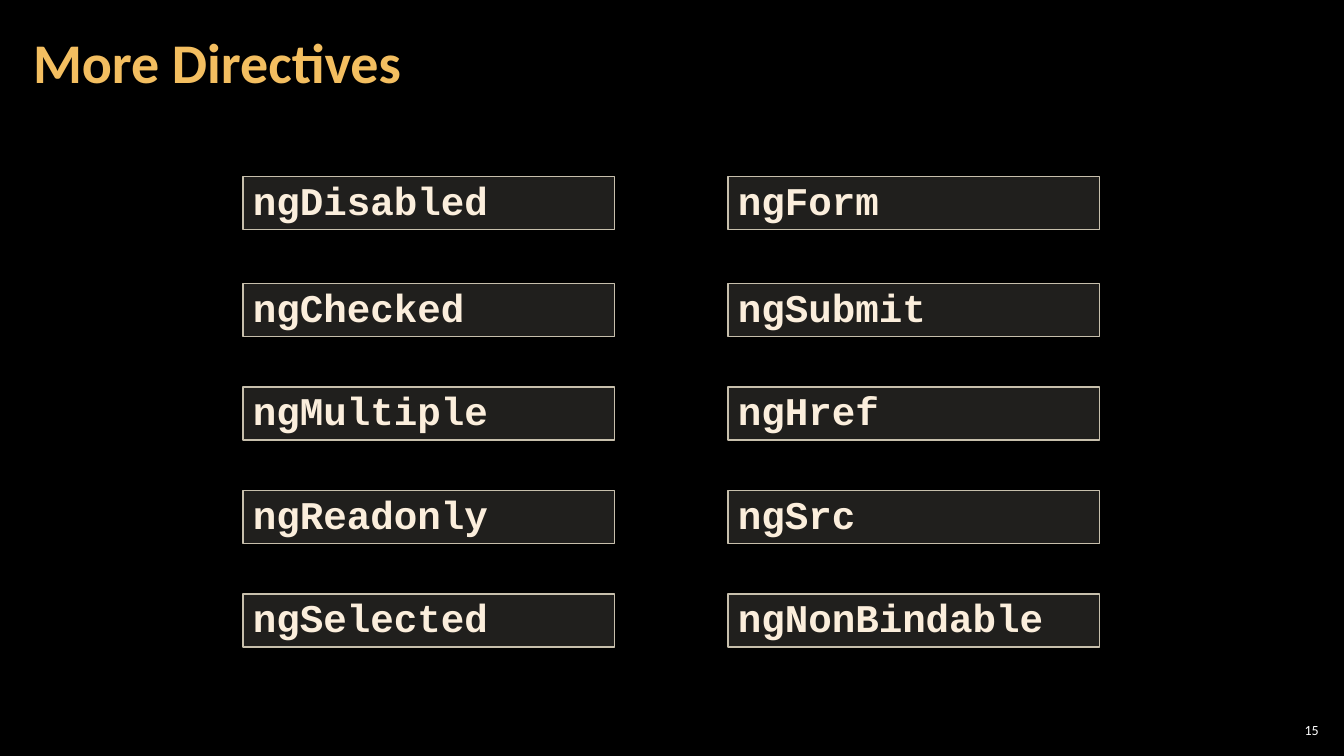
from lxml import etree
from pptx import Presentation
from pptx.dml.color import RGBColor
from pptx.enum import shapes, text
from pptx.oxml import ns
from pptx.util import Pt

TITLE = "More Directives"
PAGE_NUMBER = "15"
DIRECTIVES = [
    ["ngDisabled", "ngChecked", "ngMultiple", "ngReadonly", "ngSelected"],
    ["ngForm", "ngSubmit", "ngHref", "ngSrc", "ngNonBindable"],
]

COLORS = {
    "background": "000000",
    "title": "F3BE60",
    "number": "FFFFFF",
    "box": "D9D5C7",
    "border": "C7BFAC",
    "code": "FBEEDC",
}
TITLE_FONT = {"name": "Calibri", "size": Pt(40), "bold": True}
NUMBER_FONT = {"name": "Calibri", "size": Pt(10)}
CODE_FONT = {"name": "Courier New", "size": Pt(28), "bold": True}

COLUMN_LEFTS = [173.6, 520]
ROW_TOPS = [126, 202.3, 276.3, 350.2, 424.2]
BOX_WIDTH, BOX_HEIGHT = 265.3, 38
BOX_OPACITY = 15


def color(name):
    return RGBColor.from_string(COLORS[name])


def apply(target, values):
    for name, value in values.items():
        setattr(target, name, value)


def write(shape, words, font, color_name, frame_format, paragraph_format):
    frame = shape.text_frame
    apply(frame, {"word_wrap": True, **frame_format})
    paragraph = frame.paragraphs[0]
    apply(paragraph, paragraph_format)
    run = paragraph.add_run()
    run.text = words
    apply(run.font, font)
    run.font.color.rgb = color(color_name)


def margins(side, edge):
    return {"margin_left": Pt(side), "margin_right": Pt(side),
            "margin_top": Pt(edge), "margin_bottom": Pt(edge)}


def add_directive(slide, name, left, top):
    box = slide.shapes.add_shape(shapes.MSO_SHAPE.RECTANGLE, Pt(left), Pt(top),
                                 Pt(BOX_WIDTH), Pt(BOX_HEIGHT))
    box.shadow.inherit = False
    box.fill.solid()
    box.fill.fore_color.rgb = color("box")
    fill_color = box.fill._xPr.find(".//" + ns.qn("a:srgbClr"))
    etree.SubElement(fill_color, ns.qn("a:alpha"), val=str(BOX_OPACITY * 1000))
    box.line.color.rgb = color("border")
    box.line.width = Pt(1)
    write(box, name, CODE_FONT, "code",
          {"vertical_anchor": text.MSO_ANCHOR.TOP,
           "auto_size": text.MSO_AUTO_SIZE.SHAPE_TO_FIT_TEXT},
          {"alignment": text.PP_ALIGN.LEFT, "line_spacing": 0.9, "space_before": Pt(12)})


def main():
    presentation = Presentation()
    apply(presentation, {"slide_width": Pt(960), "slide_height": Pt(540)})
    slide = presentation.slides.add_slide(presentation.slide_layouts.get_by_name("Title Only"))
    slide.background.fill.solid()
    slide.background.fill.fore_color.rgb = color("background")

    number = slide.shapes.add_textbox(Pt(911), Pt(514), Pt(34), Pt(15))
    write(number, PAGE_NUMBER, NUMBER_FONT, "number",
          {"vertical_anchor": text.MSO_ANCHOR.MIDDLE, **margins(3, 3)},
          {"alignment": text.PP_ALIGN.RIGHT})

    title = slide.shapes.title
    apply(title, {"left": Pt(15), "top": Pt(3), "width": Pt(754), "height": Pt(87)})
    write(title, TITLE, TITLE_FONT, "title",
          {"vertical_anchor": text.MSO_ANCHOR.MIDDLE,
           "auto_size": text.MSO_AUTO_SIZE.NONE, **margins(8.6, 3)},
          {"alignment": text.PP_ALIGN.LEFT, "line_spacing": 0.9})

    for left, names in zip(COLUMN_LEFTS, DIRECTIVES):
        for top, name in zip(ROW_TOPS, names):
            add_directive(slide, name, left, top)

    presentation.save("out.pptx")


if __name__ == "__main__":
    main()
